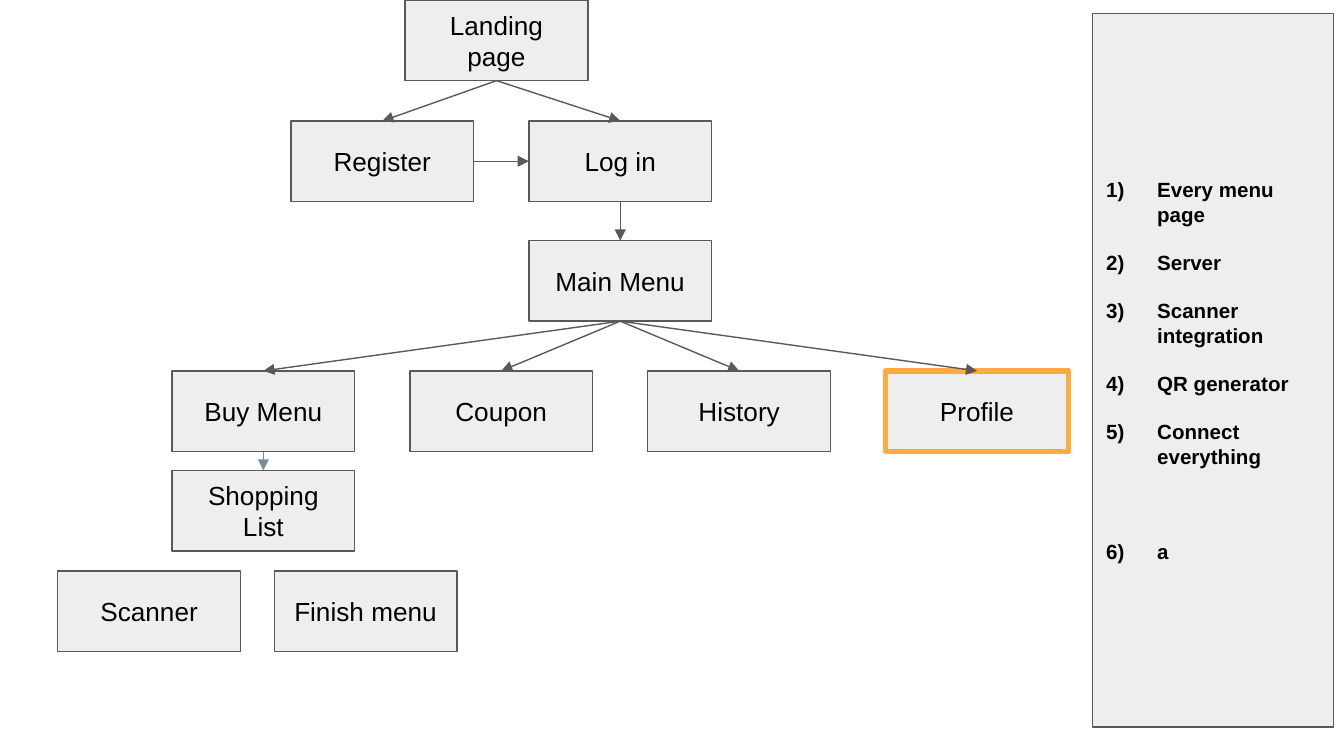
import dataclasses

import lxml.etree
import pptx
import pptx.dml.color
import pptx.enum.shapes
import pptx.enum.text
import pptx.oxml.ns
import pptx.util

SLIDE_WIDTH = pptx.util.Inches(10)
SLIDE_HEIGHT = pptx.util.Inches(5.625)
CELL = SLIDE_WIDTH // 100  # side of one square cell of the layout grid


@dataclasses.dataclass(frozen=True)
class Theme:
    font: str = "Arial"
    node_size: float = 14
    list_size: float = 11
    text: str = "000000"
    fill: str = "EEEEEE"
    line: str = "595959"
    highlight: str = "FFAB40"
    soft_line: str = "748D99"
    thin: float = 0.75
    thick: float = 3


@dataclasses.dataclass(frozen=True)
class Box:
    """Area measured in grid cells."""
    left: float
    top: float
    width: float
    height: float

    def lengths(self):
        return [round(value * CELL)
                for value in (self.left, self.top, self.width, self.height)]


THEME = Theme()
FLOW_BOX = Box(4.3, 0, 75.2, 48.5)
PANEL_BOX = Box(81.3, 1, 17.9, 53.1)

# Size of a node, and the distance from one column to the next, in cells
NODE_WIDTH, NODE_HEIGHT, COLUMN_PITCH = 13.6, 6, 17.7
LAST_COLUMN = 3
ROW_TOPS = (0, 9, 17.9, 27.6, 35, 42.5)

# Name: (column, row)
NODES = {
    "Landing page": (0.98, 0),
    "Register": (0.5, 1),
    "Log in": (1.5, 1),
    "Main Menu": (1.5, 2),
    "Buy Menu": (0, 3),
    "Coupon": (1, 3),
    "History": (2, 3),
    "Profile": (3, 3),
    "Shopping List": (0, 4),
    "Scanner": (-0.48, 5),
    "Finish menu": (0.43, 5),
}
HIGHLIGHTED = "Profile"

TOP, LEFT, BOTTOM, RIGHT = range(4)  # connection sites of a rectangle
DOWNWARD_LINKS = {
    "Landing page": ("Register", "Log in"),
    "Log in": ("Main Menu",),
    "Main Menu": ("Coupon", "Buy Menu", "History", "Profile"),
}

# Step and the number of empty lines above it
STEPS = (
    ("Every menu page", 0),
    ("Server", 1),
    ("Scanner integration", 1),
    ("QR generator", 1),
    ("Connect everything", 1),
    ("a", 3),
)
LINE_PITCH = 1.15  # share of the type size


def color(value):
    return pptx.dml.color.RGBColor.from_string(value)


def add_text(paragraph, text, *, size, bold=False,
             align=pptx.enum.text.PP_ALIGN.LEFT, space_before=0):
    paragraph.alignment = align
    paragraph.space_before = pptx.util.Pt(space_before)
    paragraph.space_after = pptx.util.Pt(0)
    run = paragraph.add_run()
    run.text = text
    run.font.name = THEME.font
    run.font.size = pptx.util.Pt(size)
    run.font.bold = bold
    run.font.color.rgb = color(THEME.text)


def style_box(shape, line=THEME.line, width=THEME.thin):
    shape.fill.solid()
    shape.fill.fore_color.rgb = color(THEME.fill)
    shape.line.color.rgb = color(line)
    shape.line.width = pptx.util.Pt(width)
    frame = shape.text_frame
    frame.word_wrap = True
    frame.auto_size = pptx.enum.text.MSO_AUTO_SIZE.NONE
    frame.vertical_anchor = pptx.enum.text.MSO_ANCHOR.MIDDLE
    frame.margin_left = frame.margin_right = CELL
    frame.margin_top = frame.margin_bottom = CELL


def add_node(slide, name, box):
    shape = slide.shapes.add_shape(
        pptx.enum.shapes.MSO_SHAPE.RECTANGLE, *box.lengths())
    shape.shadow.inherit = False
    if name == HIGHLIGHTED:
        style_box(shape, THEME.highlight, THEME.thick)
    else:
        style_box(shape)
    add_text(shape.text_frame.paragraphs[0], name, size=THEME.node_size,
             align=pptx.enum.text.PP_ALIGN.CENTER)
    return shape


def add_arrow(slide, start, end, start_site=BOTTOM, end_site=TOP,
              line=THEME.line):
    connector = slide.shapes.add_connector(
        pptx.enum.shapes.MSO_CONNECTOR.STRAIGHT, 0, 0, 0, 0)
    connector.begin_connect(start, start_site)
    connector.end_connect(end, end_site)
    connector.line.color.rgb = color(line)
    connector.line.width = pptx.util.Pt(THEME.thin)
    qualified = pptx.oxml.ns.qn
    lxml.etree.SubElement(connector.line._get_or_add_ln(),
                          qualified("a:tailEnd"), type="triangle")
    lxml.etree.SubElement(connector._element.spPr, qualified("a:effectLst"))


def add_flow(slide, box):
    last_left = box.left + box.width - NODE_WIDTH
    nodes = {}
    for name, (column, row) in NODES.items():
        left = last_left - (LAST_COLUMN - column) * COLUMN_PITCH
        nodes[name] = add_node(slide, name, Box(
            left, box.top + ROW_TOPS[row], NODE_WIDTH, NODE_HEIGHT))
    for start, ends in DOWNWARD_LINKS.items():
        for end in ends:
            add_arrow(slide, nodes[start], nodes[end])
    add_arrow(slide, nodes["Register"], nodes["Log in"], RIGHT, LEFT)
    add_arrow(slide, nodes["Buy Menu"], nodes["Shopping List"],
              line=THEME.soft_line)


def number_paragraph(paragraph, indent):
    properties = paragraph._p.get_or_add_pPr()
    properties.set("marL", str(indent))
    properties.set("indent", str(-indent))
    qualified = pptx.oxml.ns.qn
    bullet_color = lxml.etree.SubElement(properties, qualified("a:buClr"))
    lxml.etree.SubElement(bullet_color, qualified("a:srgbClr"), val=THEME.text)
    bullet_font = lxml.etree.SubElement(properties, qualified("a:buFont"))
    bullet_font.set("typeface", THEME.font)
    lxml.etree.SubElement(properties, qualified("a:buAutoNum"),
                          type="arabicParenR")


def add_step_panel(slide, box):
    panel = slide.placeholders[1]
    panel.left, panel.top, panel.width, panel.height = box.lengths()
    style_box(panel)
    frame = panel.text_frame
    for index, (step, empty_lines) in enumerate(STEPS):
        paragraph = frame.add_paragraph() if index else frame.paragraphs[0]
        gap = round(empty_lines * LINE_PITCH * THEME.list_size, 1)
        add_text(paragraph, step, size=THEME.list_size, bold=True,
                 space_before=gap)
        number_paragraph(paragraph, round(3.8 * CELL))


def main():
    presentation = pptx.Presentation()
    presentation.slide_width = SLIDE_WIDTH
    presentation.slide_height = SLIDE_HEIGHT
    slide = presentation.slides.add_slide(presentation.slide_layouts[1])
    title = slide.shapes.title._element
    title.getparent().remove(title)
    add_flow(slide, FLOW_BOX)
    add_step_panel(slide, PANEL_BOX)
    presentation.save("out.pptx")


if __name__ == "__main__":
    main()
